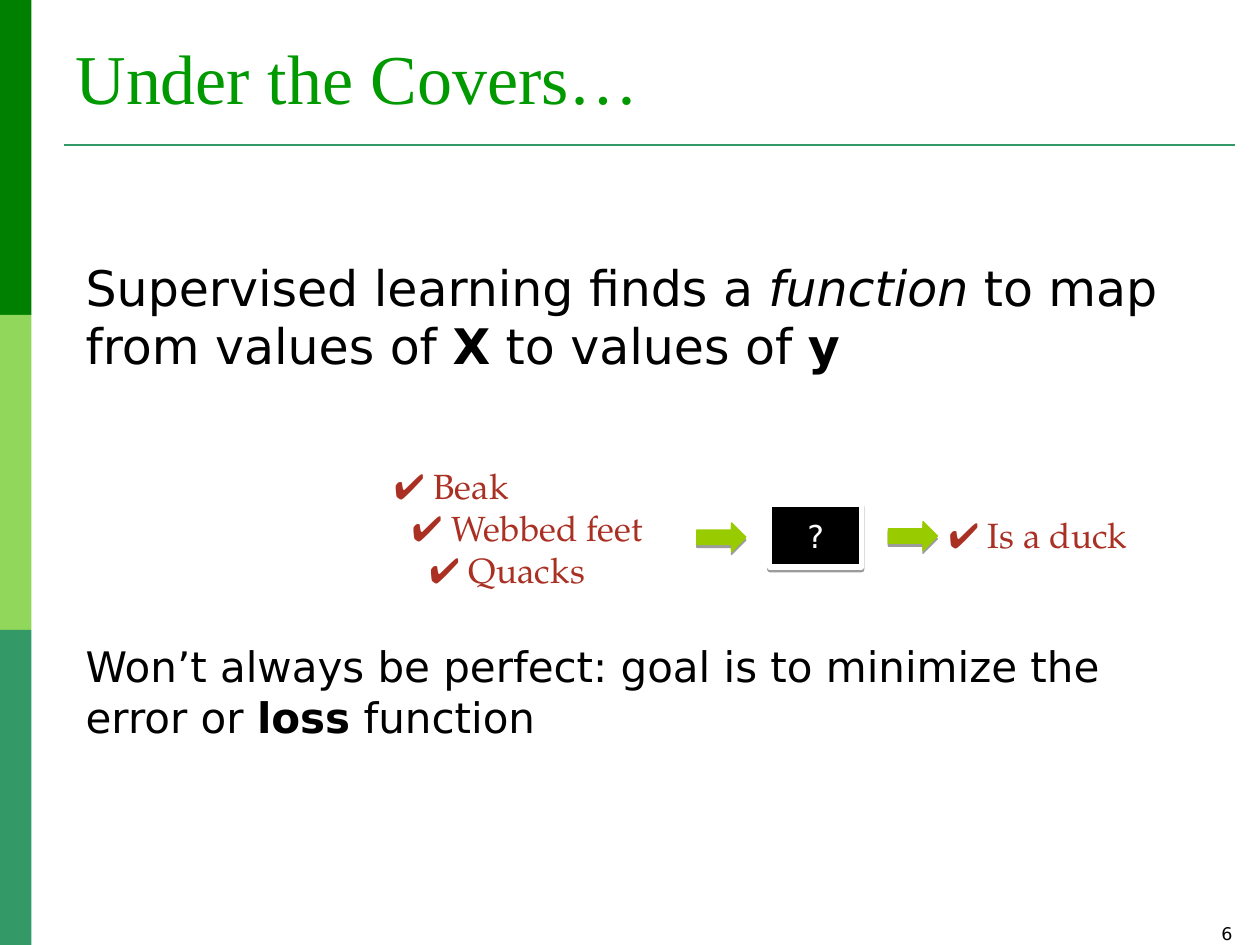
from lxml.etree import SubElement as Sub
from pptx import Presentation
from pptx.dml.color import RGBColor as RGB
from pptx.enum.shapes import MSO_CONNECTOR as Link, MSO_SHAPE as Kind
from pptx.enum.text import MSO_ANCHOR as Anchor, MSO_AUTO_SIZE as Auto, PP_ALIGN as Align
from pptx.oxml.ns import qn
from pptx.util import Inches, Pt

SANS = "DejaVu Sans"
SERIF = "TeX Gyre Pagella"


def color(code):
    return RGB.from_string(code)


def place(shape, box):
    shape.left, shape.top, shape.width, shape.height = map(Inches, box)


def style(para, size, face, code):
    for run in para.runs:
        run.font.size = Pt(size)
        run.font.name = face
        run.font.color.rgb = color(code)


def shade(shape):
    effects = Sub(shape._element.spPr, qn("a:effectLst"))
    outer = Sub(effects, qn("a:outerShdw"), dist=str(Pt(1.6)), dir="5400000", rotWithShape="0")
    black = Sub(outer, qn("a:srgbClr"), val="000000")
    Sub(black, qn("a:alpha"), val="38000")


def add_block(slide, kind, box, fill, edge=None, width=0):
    block = slide.shapes.add_shape(kind, *map(Inches, box))
    block.fill.solid()
    block.fill.fore_color.rgb = color(fill)
    if edge:
        block.line.color.rgb = color(edge)
        block.line.width = Pt(width)
        shade(block)
    else:
        block.line.fill.background()
        block.shadow.inherit = False
    return block


def add_text(slide, box, lines, size, face, code, step=0):
    frame = slide.shapes.add_textbox(*map(Inches, box)).text_frame
    frame.word_wrap = True
    frame.text = "\n".join(lines)
    for i, para in enumerate(frame.paragraphs):
        para._p.get_or_add_pPr().set("marL", str(Inches(step * i)))
        style(para, size, face, code)
    return frame


def add_frame(slide, box):
    left, top, width, height = box
    part = height / 3
    for i, fill in enumerate(("008000", "90D75B", "339966")):
        add_block(slide, Kind.RECTANGLE, (left, top + i * part, width, part), fill)
    rule = slide.shapes.add_connector(
        Link.STRAIGHT, Inches(0.51), Inches(1.15), Inches(9.8), Inches(1.15))
    rule.line.color.rgb = color("339966")
    rule.line.width = Pt(1.5)
    Sub(rule._element.spPr, qn("a:effectLst"))
    page = add_text(slide, (7.55, 7.28, 2.33, 0.2), ["6"], 10, SANS, "000000")
    page.paragraphs[0].alignment = Align.RIGHT


def add_title(slide, box):
    title = slide.shapes.title
    place(title, box)
    frame = title.text_frame
    frame.text = "Under the Covers…"
    frame.auto_size = Auto.NONE
    frame.vertical_anchor = Anchor.BOTTOM
    para = frame.paragraphs[0]
    para.alignment = Align.LEFT
    style(para, 40, "Times New Roman", "009900")


def add_body(slide, box):
    body = slide.placeholders[1]
    place(body, box)
    frame = body.text_frame
    frame.auto_size = Auto.NONE
    points = (
        (28, 0, (("Supervised learning finds a ", ""), ("function", "i"),
                 (" to map from values of ", ""), ("X", "b"),
                 (" to values of ", ""), ("y", "b"))),
        (24, 152, (("Won’t always be perfect: goal is to minimize the error or ", ""),
                   ("loss", "b"), (" function", ""))),
    )
    for i, (size, gap, parts) in enumerate(points):
        para = frame.add_paragraph() if i else frame.paragraphs[0]
        props = para._p.get_or_add_pPr()
        props.set("marL", str(Inches(0.07)))
        props.set("indent", "0")
        Sub(props, qn("a:buNone"))
        para.space_before = Pt(gap)
        for text, mark in parts:
            run = para.add_run()
            run.text = text
            run.font.bold = mark == "b"
            run.font.italic = mark == "i"
        style(para, size, SANS, "000000")


def add_flow(slide, box):
    left, top, width, height = box
    traits = ["✔ Beak", "✔ Webbed feet", "✔ Quacks"]
    add_text(slide, (left, top, 2.33, height), traits, 20, SERIF, "A93023", 0.14)
    add_text(slide, (left + 4.4, top + 0.39, width - 4.4, 0.44),
             ["✔ Is a duck"], 20, SERIF, "A93023")
    model = add_block(slide, Kind.RECTANGLE, (left + 3.08, top + 0.36, 0.73, 0.5),
                      "000000", "FFFFFF", 3)
    frame = model.text_frame
    frame.text = "?"
    frame.vertical_anchor = Anchor.MIDDLE
    frame.paragraphs[0].alignment = Align.CENTER
    style(frame.paragraphs[0], 18, SANS, "FFFFFF")
    for x, y in ((2.5, 0.51), (4.02, 0.5)):
        add_block(slide, Kind.RIGHT_ARROW, (left + x, top + y, 0.39, 0.23),
                  "99CC00", "98CC00", 0.75)


def main():
    deck = Presentation()
    deck.slide_width, deck.slide_height = Inches(10), Inches(7.5)
    slide = deck.slides.add_slide(deck.slide_layouts[1])
    add_frame(slide, (0, 0, 0.25, 7.5))
    add_title(slide, (0.5, 0.3, 9.3, 0.69))
    add_body(slide, (0.51, 1.99, 8.92, 4.11))
    add_flow(slide, (3.03, 3.64, 6.09, 1.1))
    deck.save("out.pptx")


if __name__ == "__main__":
    main()
